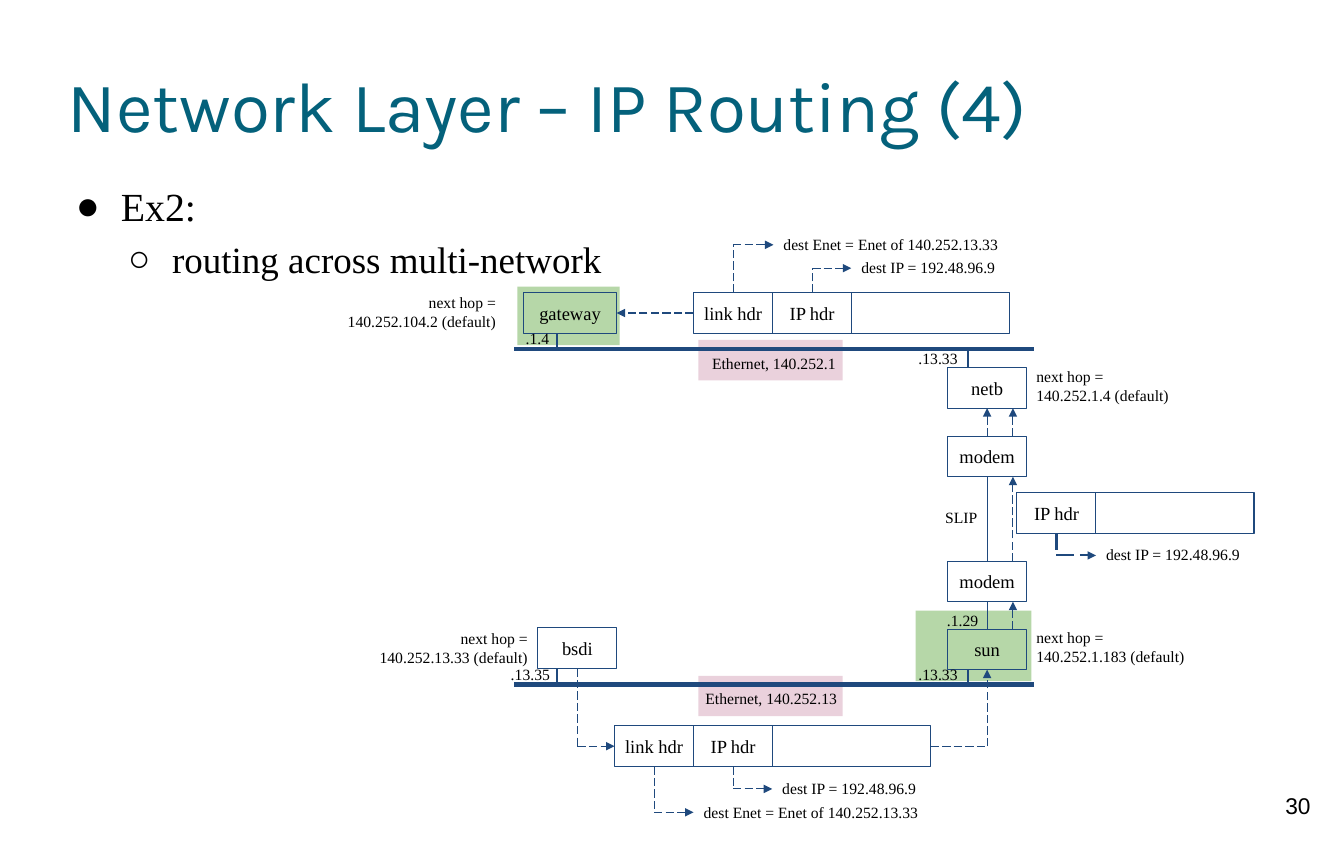
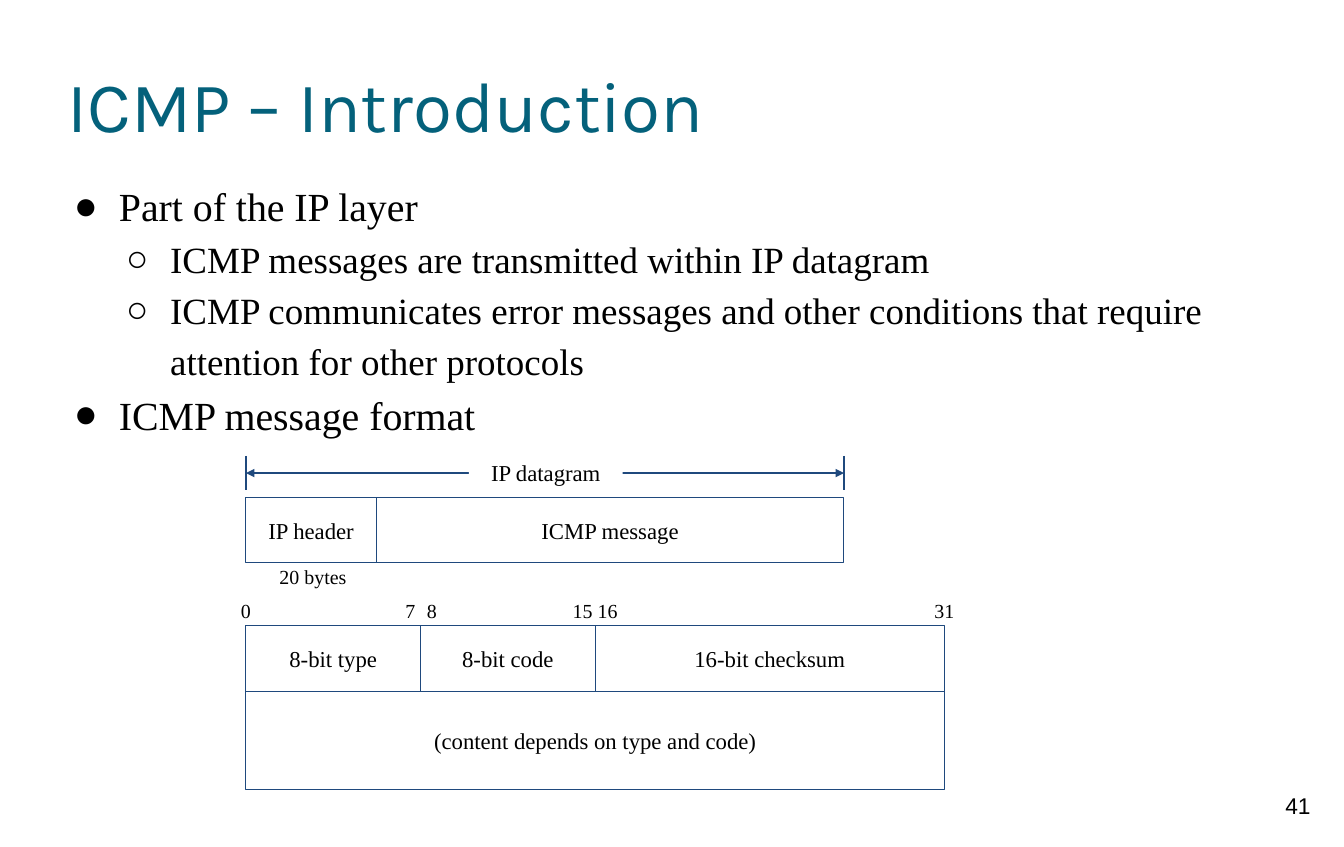
from lxml.etree import SubElement
from pptx import Presentation
from pptx.dml.color import RGBColor
from pptx.enum.dml import MSO_LINE
from pptx.enum.shapes import MSO_CONNECTOR, MSO_SHAPE
from pptx.enum.text import MSO_ANCHOR, PP_ALIGN
from pptx.oxml.ns import qn
from pptx.util import Cm, Pt

TEAL = RGBColor(0x04, 0x61, 0x7B)
NAVY = RGBColor(0x1F, 0x49, 0x7D)
GREEN = RGBColor(0xB6, 0xD7, 0xA8)
PINK = RGBColor(0xEA, 0xD1, 0xDC)
WHITE = RGBColor(255, 255, 255)
BLACK = RGBColor(0, 0, 0)
SERIF = "Times New Roman"
LEFT, MID, RIGHT = PP_ALIGN.LEFT, PP_ALIGN.CENTER, PP_ALIGN.RIGHT
TOP, BOTTOM, WEST, EAST = 0, 2, 1, 3  # connection sites

# level: (bullet, size, margin, hanging indent)
LEVELS = [("●", 28, 1.27, -1.12), ("○", 26, 2.54, -1.09)]

ROUTING = {
    "title": "Network Layer – IP Routing (4)", "number": "30", "left": 1.73,
    "body": [(0, "Ex2:"), (1, "routing across multi-network")],
}
ICMP = {
    "title": "ICMP – Introduction", "number": "41", "left": 1.68,
    "body": [
        (0, "Part of the IP layer"),
        (1, "ICMP messages are transmitted within IP datagram"),
        (1, "ICMP communicates error messages and other conditions that "
            "require attention for other protocols"),
        (0, "ICMP message format"),
    ],
}

# Routing diagram, in centimetres
CELL, ROW = 1.96, 1
PATCHES = [
    (22.71, 15.14, 2.87, 1.75, GREEN), (12.83, 7.11, 2.54, 1.45, GREEN),
    (17.32, 8.43, 3.58, 1, PINK), (17.32, 16.76, 3.58, 1, PINK),
]
# name: (text, left, top, width)
HOSTS = {
    "gateway": ("gateway", 12.98, 7.26, 2.31),
    "netb": ("netb", 23.5, 9.12, CELL),
    "modem1": ("modem", 23.5, 10.82, CELL),
    "modem2": ("modem", 23.5, 13.92, CELL),
    "bsdi": ("bsdi", 13.34, 15.57, CELL),
    "sun": ("sun", 23.5, 15.6, CELL),
}
# number, left, top, header cells; a double-width data cell follows
PACKETS = [
    (1, 17.2, 7.26, ["link hdr", "IP hdr"]),
    (2, 15.24, 18, ["link hdr", "IP hdr"]),
    (3, 25.22, 12.22, ["IP hdr"]),
]
BUS1, BUS2, LANE = 8.66, 16.97, 25.12
BUS = {"width": 3}
STUB = {"width": 1.5}
THIN = {}
DASH = {"dash": True, "tail": True}
# An end is a point or (box name, site)
LINKS = [
    ((12.75, BUS1), (25.65, BUS1), BUS),
    ((12.75, BUS2), (25.65, BUS2), BUS),
    ((13.82, BUS1), (13.82, 8.26), STUB),
    ((24, BUS1), (24, 9.12), STUB),
    ((13.82, BUS2), (13.82, 16.57), STUB),
    ((24, BUS2), (24, 16.6), STUB),
    (("modem1", BOTTOM), ("modem2", TOP), THIN),
    (("sun", TOP), ("modem2", BOTTOM), THIN),
    (("modem1", TOP), ("netb", BOTTOM), DASH),
    ((LANE, 10.82), (LANE, 10.12), DASH),
    ((LANE, 13.92), (LANE, 11.82), DASH),
    ((LANE, 15.6), (LANE, 14.92), DASH),
    (("link hdr1", WEST), ("gateway", EAST), DASH),
    (("IP hdr1", TOP), (21.11, 6.65), DASH),
    (("link hdr1", TOP), (19.18, 6.07), DASH),
    (("bsdi", BOTTOM), ("link hdr2", WEST), DASH),
    (("data2", EAST), ("sun", BOTTOM), DASH),
    (("IP hdr2", BOTTOM), (19.15, 19.56), DASH),
    (("link hdr2", BOTTOM), (17.2, 20.14), DASH),
    (("IP hdr3", BOTTOM), (27.18, 13.77), DASH | STUB),
]
HOP, NET, DEST, ENET, PORT = 4.27, 4.27, 4.65, 7.77, 1.55
# text, left, top, width, alignment
LABELS = [
    ("next hop =\v140.252.104.2 (default)", 8.28, 7.01, HOP, RIGHT),
    ("next hop =\v140.252.13.33 (default)", 9.07, 15.34, HOP, RIGHT),
    ("next hop =\v140.252.1.4 (default)", 25.45, 8.84, HOP, LEFT),
    ("next hop =\v140.252.1.183 (default)", 25.45, 15.32, HOP, LEFT),
    ("Ethernet, 140.252.1", 16.71, 8.53, NET, RIGHT),
    ("Ethernet, 140.252.13", 16.74, 16.84, NET, RIGHT),
    ("dest IP = 192.48.96.9", 21.11, 6.17, DEST, LEFT),
    ("dest IP = 192.48.96.9", 19.15, 19.08, DEST, LEFT),
    ("dest IP = 192.48.96.9", 27.18, 13.28, DEST, LEFT),
    ("dest Enet = Enet of 140.252.13.33", 19.18, 5.59, ENET, LEFT),
    ("dest Enet = Enet of 140.252.13.33", 17.2, 19.66, ENET, LEFT),
    (".1.4", 12.32, 7.92, PORT, RIGHT),
    (".13.33", 22.45, 8.41, PORT, RIGHT),
    (".13.35", 12.34, 16.26, PORT, RIGHT),
    (".13.33", 22.45, 16.26, PORT, RIGHT),
    ("SLIP", 22.94, 12.37, PORT, RIGHT),
    (".1.29", 22.96, 14.91, PORT, RIGHT),
]

# Message format, in centimetres
EDGE, BIT, HIGH = 6.1, 17.32 / 32, 1.62
GRAM = [("IP header", 3.23), ("ICMP message", 11.6)]
FIELDS = [("8-bit type", 8), ("8-bit code", 8), ("16-bit checksum", 16)]
# bit number, field edge it marks, shift from that edge
MARKS = [("0", 0, 0), ("7", 8, -0.25), ("8", 8, 0.28),
         ("15", 16, -0.31), ("16", 16, 0.31), ("31", 32, 0)]


def write(shape, text, size, align=LEFT, font=SERIF, color=BLACK,
          anchor=MSO_ANCHOR.TOP, inset=0.25):
    frame = shape.text_frame
    sides = {f"margin_{s}": Cm(inset) for s in ("left", "top", "right", "bottom")}
    for key, value in {"word_wrap": True, "vertical_anchor": anchor, **sides}.items():
        setattr(frame, key, value)
    frame.text = text
    for para in frame.paragraphs:
        para.alignment = align
        style(para, size, font, color)


def style(para, size, font=SERIF, color=BLACK):
    for key, value in {"size": Pt(size), "name": font}.items():
        setattr(para.font, key, value)
    para.font.color.rgb = color


def label(slide, text, x, y, w, h, size, **look):
    box = slide.shapes.add_textbox(Cm(x), Cm(y), Cm(w), Cm(h))
    write(box, text, size, **look)
    return box


def rect(slide, x, y, w, h, text="", size=13, fill=None):
    """Filled patch without outline, or outlined box without fill."""
    box = slide.shapes.add_shape(MSO_SHAPE.RECTANGLE, Cm(x), Cm(y), Cm(w), Cm(h))
    box.shadow.inherit = False
    if fill is None:
        box.fill.background()
        box.line.color.rgb = NAVY
        box.line.width = Pt(0.75)
    else:
        box.fill.solid()
        box.fill.fore_color.rgb = fill
        box.line.fill.background()
    if text:
        write(box, text, size, align=MID, anchor=MSO_ANCHOR.MIDDLE)
    return box


def line(slide, start, end, width=0.75, dash=False, head=False, tail=False):
    wire = slide.shapes.add_connector(MSO_CONNECTOR.STRAIGHT, *map(Cm, start + end))
    wire.line.color.rgb = NAVY
    wire.line.width = Pt(width)
    if dash:
        wire.line.dash_style = MSO_LINE.LONG_DASH
    stroke = wire.line._get_or_add_ln()
    for tag, shown in (("a:headEnd", head), ("a:tailEnd", tail)):
        if shown:
            SubElement(stroke, qn(tag), type="triangle")
    SubElement(wire._element.spPr, qn("a:effectLst"))
    return wire


def locate(end, boxes):
    """Return the point of an end, in centimetres."""
    if end[0] not in boxes:
        return end
    box, site = boxes[end[0]], end[1]
    across = {WEST: 0, EAST: 1}.get(site, 0.5)
    down = {TOP: 0, BOTTOM: 1}.get(site, 0.5)
    return ((box.left + across * box.width) / Cm(1),
            (box.top + down * box.height) / Cm(1))


def link(slide, boxes, start, end, look):
    """Join two ends, turning one corner where they are not in line."""
    a, b = locate(start, boxes), locate(end, boxes)
    if min(abs(a[0] - b[0]), abs(a[1] - b[1])) < 0.02:
        first = last = line(slide, a, b, **look)
    else:
        turn = (a[0], b[1]) if start[1] in (TOP, BOTTOM) else (b[0], a[1])
        first = line(slide, a, turn, **(look | {"tail": False}))
        last = line(slide, turn, b, **look)
    if start[0] in boxes:
        first.begin_connect(boxes[start[0]], start[1])
    if end[0] in boxes:
        last.end_connect(boxes[end[0]], end[1])


def bullet(para, level):
    mark, size, margin, hang = LEVELS[level]
    style(para, size)
    para.line_spacing = 1.15
    props = para._p.get_or_add_pPr()
    props.set("marL", str(Cm(margin)))
    props.set("indent", str(Cm(hang)))
    tint = SubElement(SubElement(props, qn("a:buClr")), qn("a:srgbClr"))
    tint.set("val", str(BLACK))
    SubElement(props, qn("a:buFont"), typeface=SERIF)
    SubElement(props, qn("a:buChar"), char=mark)


def page(deck, data):
    """Add a slide with title, bullets and number."""
    slide = deck.slides.add_slide(deck.slide_layouts[6])
    label(slide, data["number"], 31.19, 19.38, 2, 1.6, 16, align=MID, font="Arial")
    label(slide, data["title"], 1.68, 0.84, 30, 3.5, 50, font="Karla",
          color=TEAL, anchor=MSO_ANCHOR.MIDDLE, inset=0)
    text = "\n".join(words for _, words in data["body"])
    body = label(slide, text, data["left"], 4.34, 30.07, 1.3 * len(data["body"]),
                 28, inset=0)
    for para, (level, _) in zip(body.text_frame.paragraphs, data["body"]):
        bullet(para, level)
    return slide


def routing(slide):
    for x, y, w, h, fill in PATCHES:
        rect(slide, x, y, w, h, fill=fill)
    boxes = {name: rect(slide, x, y, w, ROW, text)
             for name, (text, x, y, w) in HOSTS.items()}
    for num, x, y, cells in PACKETS:
        for i, text in enumerate(cells):
            boxes[f"{text}{num}"] = rect(slide, x + i * CELL, y, CELL, ROW, text)
        boxes[f"data{num}"] = rect(slide, x + len(cells) * CELL, y, 2 * CELL, ROW)
    for start, end, look in LINKS:
        link(slide, boxes, start, end, look)
    for text, x, y, w, align in LABELS:
        label(slide, text, x, y, w, 1.45 if "\v" in text else 1, 11, align=align)


def row(slide, cells, y, scale=1):
    """Lay cells side by side; return the right edge."""
    x = EDGE
    for text, span in cells:
        rect(slide, x, y, span * scale, HIGH, text, 16)
        x += span * scale
    return x


def message(slide):
    end = row(slide, GRAM, 12.34)
    line(slide, (EDGE, 11.73), (end, 11.73), width=1.5, head=True, tail=True)
    for x in (EDGE, end):
        line(slide, (x, 11.3), (x, 12.14), width=1.5)
    rect(slide, 11.63, 11.13, 3.81, 1.19, "IP datagram", 16, WHITE)
    label(slide, "20 bytes", 6.68, 13.74, 2.44, 1.12, 14)
    row(slide, FIELDS, 15.52, BIT)
    rect(slide, EDGE, 15.52 + HIGH, 32 * BIT, 2.44,
         "(content depends on type and code)", 16)
    for text, edge, shift in MARKS:
        label(slide, text, EDGE + edge * BIT + shift - 0.6, 14.6, 1.2, 1.12, 14,
              align=MID)


def main():
    deck = Presentation()
    deck.slide_width, deck.slide_height = Cm(33.33), Cm(21)
    routing(page(deck, ROUTING))
    message(page(deck, ICMP))
    deck.save("out.pptx")


if __name__ == "__main__":
    main()
